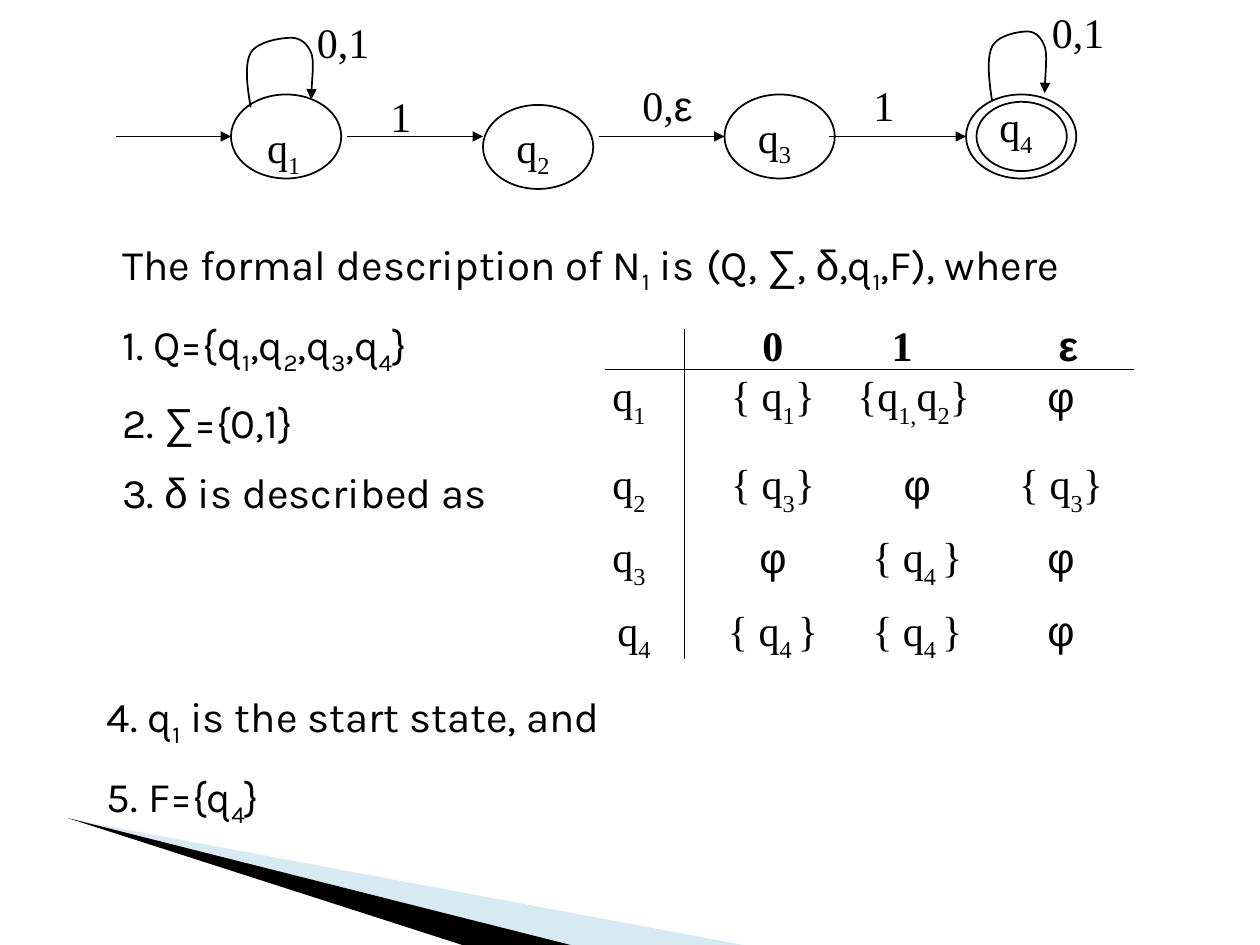
from itertools import groupby

from lxml.etree import SubElement
from pptx import Presentation
from pptx.dml.color import RGBColor
from pptx.enum.shapes import MSO_CONNECTOR, MSO_SHAPE
from pptx.enum.text import MSO_ANCHOR, MSO_AUTO_SIZE, PP_ALIGN
from pptx.oxml.ns import qn
from pptx.util import Inches, Pt

COLORS = {"ink": "000000", "swoosh": "9FCBDC"}
INK = RGBColor.from_string(COLORS["ink"])
SERIF, SANS, SYMBOL = "Times New Roman", "Karla", "Arial"
NO_STYLE_NO_GRID = "{2D5ABB26-0587-4C30-8999-92F81FD0307C}"


def grid(*cells):
    """Turn columns and rows of a 120 x 90 grid into slide lengths."""
    return [Inches(round(cell / 12, 3)) for cell in cells]


def add_runs(paragraph, text, face, size=24, bold=False, drop=-25):
    """Add runs; parts between ~ marks are subscripts, Greek goes in Arial."""
    for index, part in enumerate(text.split("~")):
        for is_symbol, letters in groupby(part, key=lambda c: c in "∑δεφ"):
            run = paragraph.add_run()
            run.text = "".join(letters)
            run.font.name = SYMBOL if is_symbol else face
            run.font.size = Pt(size)
            run.font.bold = bold
            run.font.color.rgb = INK
            if index % 2:
                run.font._element.set("baseline", str(drop * 1000))


prs = Presentation()
prs.slide_width, prs.slide_height = Inches(10), Inches(7.5)
slide = prs.slides.add_slide(prs.slide_layouts[1])
shapes = slide.shapes
title = shapes.title
title._element.getparent().remove(title._element)

# Corner swoosh
swooshes = [
    ("swoosh", 40, [(0.55, 6.5), (5.9, 7.5), (4.52, 7.5)]),
    ("ink", 100, [(0.53, 6.49), (4.53, 7.5), (3.67, 7.5)]),
]
for color, opacity, corners in swooshes:
    points = [(Inches(x), Inches(y)) for x, y in corners]
    outline = shapes.build_freeform(*points[0])
    outline.add_line_segments(points[1:], close=True)
    swoosh = outline.convert_to_shape()
    swoosh.shadow.inherit = False
    swoosh.line.fill.background()
    swoosh.fill.solid()
    swoosh.fill.fore_color.rgb = RGBColor.from_string(COLORS[color])
    tint = swoosh._element.spPr.find(".//" + qn("a:srgbClr"))
    SubElement(tint, qn("a:alpha"), val=str(opacity * 1000))

# States, with an inner ring for the accepting one
state_rings = [(22, 9, 10.5, 8), (46, 10, 10.5, 8), (69, 9, 10.5, 8),
               (92, 9, 10.5, 8), (93, 9.7, 8.6, 6.6)]
for ring in state_rings:
    state = shapes.add_shape(MSO_SHAPE.OVAL, *grid(*ring))
    state.shadow.inherit = False
    state.fill.background()
    state.line.color.rgb = INK
    state.line.width = Pt(1)

# Self loops: left, top and horizontal stretch of one Bezier curve
transitions = []
loop_curve = [(0.05, 0.55), (0.02, 0.38), (0, 0.21), (0.05, 0.12),
              (0.1, 0.03), (0.29, 0), (0.37, 0),
              (0.45, 0), (0.5, 0.05), (0.53, 0.12),
              (0.56, 0.19), (0.53, 0.37), (0.53, 0.49)]
STEPS = 10
for left, top, stretch in [(1.94, 0.3, 1), (7.83, 0.25, 0.87)]:
    points = []
    for first in range(0, len(loop_curve) - 1, 3):
        controls = loop_curve[first:first + 4]
        for step in range(STEPS + 1):
            t = step / STEPS
            weights = [(1 - t) ** 3, 3 * t * (1 - t) ** 2, 3 * t * t * (1 - t), t ** 3]
            x, y = (sum(w * c[axis] for w, c in zip(weights, controls))
                    for axis in (0, 1))
            points.append((Inches(left + x * stretch), Inches(top + y)))
    outline = shapes.build_freeform(*points[0])
    outline.add_line_segments(points[1:], close=False)
    loop = outline.convert_to_shape()
    loop.shadow.inherit = False
    loop.fill.background()
    loop.line.color.rgb = INK
    loop.line.width = Pt(1)
    transitions.append(loop)

# State names and transition symbols
labels = [("q~1", 24.25, 11, 6.7), ("q~2", 48, 11, 6.7), ("q~3", 71, 10, 6.7),
          ("q~4", 94, 9, 6.7), ("0,1", 29, 1, 10), ("0,1", 99, 0, 9),
          ("1", 36, 8, 5.8), ("0,ε", 60, 7, 8), ("1", 82, 7, 5.8)]
for text, left, top, width in labels:
    label = shapes.add_textbox(*grid(left, top, width, 6)).text_frame
    label.word_wrap = True
    add_runs(label.paragraphs[0], text, SERIF)

# Formal description, items 1 to 3
description = slide.placeholders[1]
description.left, description.top, description.width, description.height = grid(9, 19, 102, 31)
frame = description.text_frame
frame.auto_size = MSO_AUTO_SIZE.NONE
items = [
    [("The formal description of N~1~ is", 24), (" ", 28),
     ("(Q, ∑, δ,q~1~,F), where", 24)],
    [("1. Q={q~1~,q~2~,q~3~,q~4~}", 24)],
    [("2. ∑={0,1}", 24)],
    [("3. δ is described as", 24)],
]
for index, pieces in enumerate(items):
    item = frame.add_paragraph() if index else frame.paragraphs[0]
    margins = item._p.get_or_add_pPr()
    margins.set("marL", str(Inches(0.4)))
    margins.set("indent", str(Inches(-0.28)))
    SubElement(margins, qn("a:buNone"))
    item.line_spacing = 1.4
    item.space_before = Pt(0)
    for text, size in pieces:
        add_runs(item, text, SANS, size)

# Transition table
rows = [
    ["", "0", "1", "ε"],
    ["q~1", "{ q~1~}", "{q~1,~q~2~}", "φ"],
    ["q~2", "{ q~3~}", "φ", "{ q~3~}"],
    ["q~3", "φ", "{ q~4 ~}", "φ"],
    ["q~4", "{ q~4 ~}", "{ q~4 ~}", "φ"],
]
column_widths = [0.63, 1.3, 1.1, 1.17]
row_heights = [0.38, 0.7, 0.58, 0.58, 0.42]
table = shapes.add_table(len(rows), len(column_widths), Inches(4.8), Inches(2.57),
                         Inches(sum(column_widths)), Inches(sum(row_heights))).table
table.first_row = table.horz_banding = False
table._tbl.tblPr.find(qn("a:tableStyleId")).text = NO_STYLE_NO_GRID
for column, width in zip(table.columns, column_widths):
    column.width = Inches(width)
for r, (texts, height) in enumerate(zip(rows, row_heights)):
    table.rows[r].height = Inches(height)
    for c, text in enumerate(texts):
        cell = table.cell(r, c)
        cell.fill.background()
        cell.vertical_anchor = MSO_ANCHOR.TOP
        cell.margin_top = cell.margin_bottom = cell.margin_right = 0
        cell.margin_left = Inches([0.06, 0.11, 0, 0.01][c])
        entry = cell.text_frame.paragraphs[0]
        entry.alignment = PP_ALIGN.CENTER if c else PP_ALIGN.LEFT
        add_runs(entry, text, SERIF, bold=r == 0, drop=-30)
table.cell(0, 2).margin_right = Inches(0.24)
table.cell(0, 3).margin_left = Inches(0.13)
table.cell(1, 2).margin_right = Inches(0.06)
table.cell(4, 0).margin_left = Inches(0.1)

# Straight transitions, then the two rules of the transition table
lines = [(11, 13, 22, 13, 1), (33, 13, 46, 13, 1), (57, 13, 69, 13, 1),
         (79, 13, 92, 13, 1),
         (57.6, 35.16, 108, 35.16, 0.75), (65.16, 31.3, 65.16, 62.8, 0.75)]
for *ends, weight in lines:
    line = shapes.add_connector(MSO_CONNECTOR.STRAIGHT, *grid(*ends))
    line.line.color.rgb = INK
    line.line.width = Pt(weight)
    SubElement(line._element.spPr, qn("a:effectLst"))
    if weight == 1:
        transitions.append(line)

# Arrowheads
for transition in transitions:
    SubElement(transition.line._get_or_add_ln(), qn("a:tailEnd"), type="triangle")

# Items 4 and 5
closing = shapes.add_textbox(*grid(9, 63, 99, 16.5)).text_frame
closing.word_wrap = True
for index, text in enumerate(["4. q~1~ is the start state, and", "5. F={q~4~}"]):
    item = closing.add_paragraph() if index else closing.paragraphs[0]
    item.line_spacing = 1.4
    add_runs(item, text, SANS)

prs.save("out.pptx")
